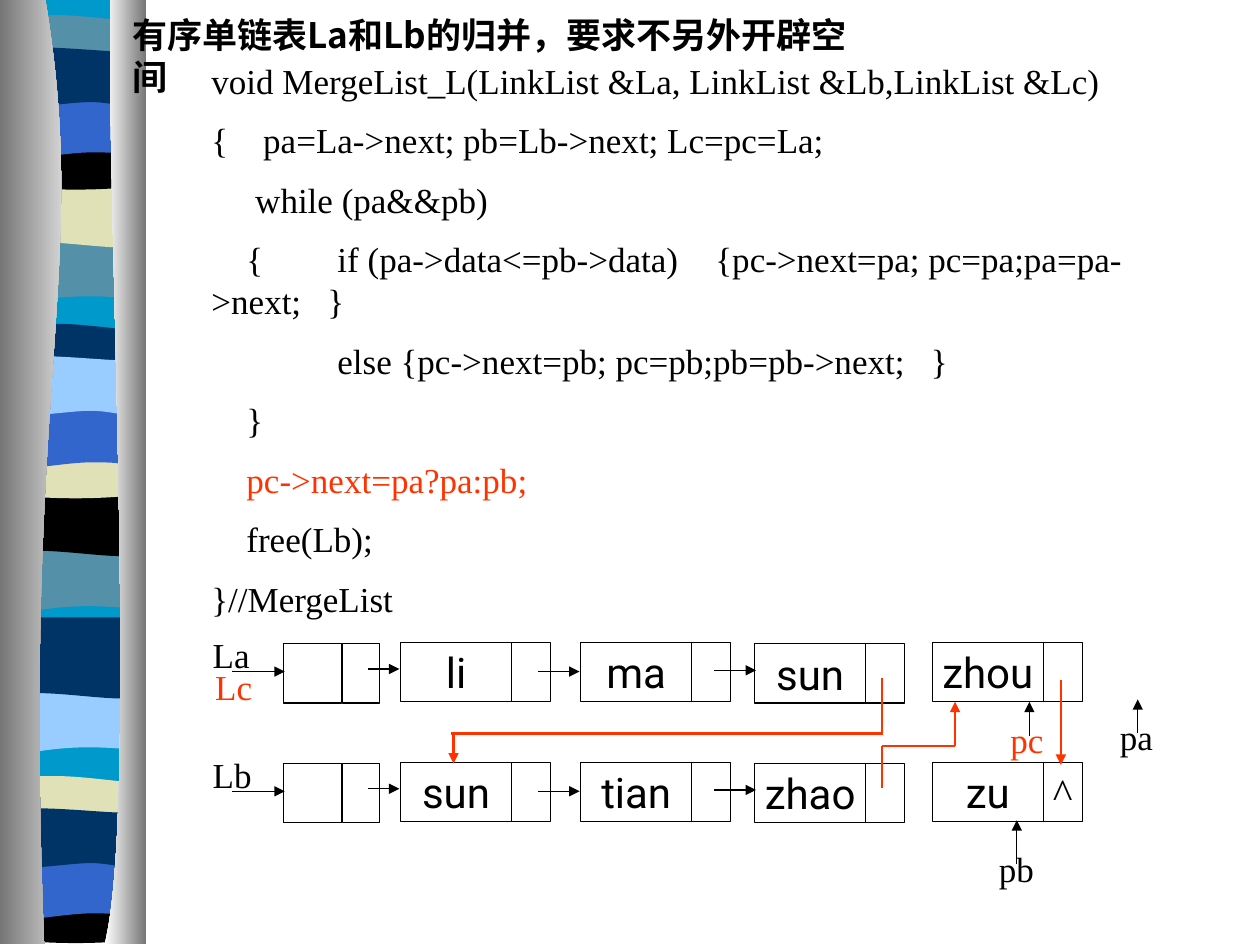
import pptx
import pptx.dml.color
import pptx.enum.text
import pptx.oxml
import pptx.oxml.ns
import pptx.util
from pptx.util import Inches

RGB = pptx.dml.color.RGBColor.from_string
ALIGN = pptx.enum.text.PP_ALIGN
ANCHOR = pptx.enum.text.MSO_ANCHOR
NS = pptx.oxml.ns.nsdecls("a")
THEME = {
    "black": RGB("000000"), "red": RGB("FF3300"), "cyan": RGB("0099CC"),
    "teal": RGB("5490A8"), "sand": RGB("E1E1B7"), "blue": RGB("3366CC"),
    "navy": RGB("003366"), "sky": RGB("99CCFF"),
    "white": RGB("FFFFFF"), "grey": RGB("767676"),
    "code": {"name": "Times New Roman", "size": pptx.util.Pt(20)},
    "title": {"name": "Noto Sans CJK SC", "size": pptx.util.Pt(20), "bold": True},
    "node": {"name": "Roboto", "size": pptx.util.Pt(24)},
    "end": {"name": "Times New Roman", "size": pptx.util.Pt(24)},
    "thin": pptx.util.Pt(0.75), "thick": pptx.util.Pt(1.5),
}

deck = pptx.Presentation()
deck.slide_width, deck.slide_height = Inches(10), Inches(7.5)
slide = deck.slides.add_slide(deck.slide_layouts[6])
shapes = slide.shapes


def write_text(paragraph, text, style, color="black"):
    run = paragraph.add_run()
    run.text = text
    for attribute, value in THEME[style].items():
        setattr(run.font, attribute, value)
    run.font.color.rgb = THEME[color]
    run.font._element.append(pptx.oxml.parse_xml(
        f'<a:ea {NS} typeface="{THEME[style]["name"]}"/>'))


def draw_outline(segments, shift=0):
    """Draw a closed outline; six numbers make a Bezier curve, two a straight line."""
    points = [(Inches(segment[i]), Inches(segment[i + 1] + shift))
              for segment in segments for i in range(0, len(segment), 2)]
    builder = shapes.build_freeform(*points[0])
    builder.add_line_segments(points[1:], close=True)
    outline = builder.convert_to_shape()
    steps = iter(outline._element.findall(".//" + pptx.oxml.ns.qn("a:lnTo")))
    for segment in segments[1:]:
        step = next(steps)
        if len(segment) == 6:
            curve = pptx.oxml.parse_xml(f"<a:cubicBezTo {NS}/>")
            step.addprevious(curve)
            for control in (step, next(steps), next(steps)):
                curve.append(control[0])
                control.getparent().remove(control)
    outline.shadow.inherit = False
    outline.line.fill.background()
    return outline


# Wavy ribbon: each wave form recurs three times down the left edge
base = draw_outline([(1.14, 0), (1.14, 7.47), (0.06, 7.47), (0.06, 0)])
base.fill.solid()
base.fill.fore_color.rgb = THEME["cyan"]

left, right = 0.05, 1.14
wave_forms = [
    [(right, 0), (right, 0.53), (0.39, 0.44, 0.23, 0.6, left, 0.53), (left, 0)],
    [(right, -0.09), (right, 0.53), (0.96, 0.61, 0.39, 0.46, left, 0.53), (left, -0.09)],
    [(right, -0.03), (right, 0.24), (0.96, 0.29, 0.23, 0.29, left, 0.24), (left, -0.05),
     (0.12, -0.1, 0.29, -0.09, 0.47, -0.09), (0.65, -0.09, 1, -0.04, right, -0.03)],
    [(right, 0), (right, 0.38), (0.96, 0.44, 0.24, 0.44, left, 0.38), (left, 0),
     (0.72, 0.05, 0.91, 0, right, 0)],
    [(right, 0), (right, 0.53), (0.97, 0.47, 0.9, 0.47, 0.72, 0.47),
     (0.54, 0.47, 0.22, 0.53, left, 0.53), (left, 0)],
    [(right, -0.04), (right, 0.37), (1.07, 0.42, 0.9, 0.35, 0.72, 0.35),
     (0.54, 0.35, 0.16, 0.42, left, 0.37), (left, -0.06),
     (0.21, -0.12, 0.79, -0.05, 0.97, -0.05), (right, -0.04)],
]
wave_sections = [
    [(1.85, "teal"), (1.41, "sand"), (0.21, "teal"), (1.08, "black"), (0.74, "blue"), (0.46, "navy")],
    [(4.31, "teal"), (3.86, "black"), (2.66, "navy"), (3.53, "sand"), (3.2, "blue"), (2.91, "sky")],
    [(5.43, "sky"), (4.99, "navy"), (6.25, "sand"), (7.06, "black"), (6.78, "blue"), (6.5, "navy")],
]
for section in wave_sections:
    for form, (top, color) in zip(wave_forms, section):
        wave = draw_outline(form, top)
        wave.fill.solid()
        wave.fill.fore_color.rgb = THEME[color]

# Metallic edges on both sides of the ribbon
edges = [
    ([(0.36, 0), (0.72, 2.16, 0.17, 2.96, 0.35, 7.49), (0, 7.49), (0, 0)], "grey", "white"),
    ([(0.88, 0), (0.83, 1.25, 1.11, 6.46, 0.83, 7.49), (1.16, 7.49), (1.16, 0)], "white", "grey"),
]
for segments, *colors in edges:
    edge = draw_outline(segments)
    edge.fill.gradient()
    edge.fill.gradient_angle = 0
    for stop, color in zip(edge.fill.gradient_stops, colors):
        stop.color.rgb = THEME[color]

# Code, title and pointer labels
code = [
    "void MergeList_L(LinkList &La, LinkList &Lb,LinkList &Lc)",
    "{    pa=La->next; pb=Lb->next; Lc=pc=La;",
    "     while (pa&&pb)",
    "    {\tif (pa->data<=pb->data)\t{pc->next=pa; pc=pa;pa=pa->next;   }",
    "\telse {pc->next=pb; pc=pb;pb=pb->next;   }",
    "    }",
    "    pc->next=pa?pa:pb;",
    "    free(Lb);",
    "}//MergeList",
]
texts = [
    (1.58, 0.42, 8.42, 4.43, code, "code", "black"),
    (0.95, 0.06, 6.14, 0.44, ["有序单链表La和Lb的归并，要求不另外开辟空间"], "title", "black"),
    (1.59, 4.98, 1, 0.43, ["La"], "code", "black"),
    (1.61, 5.23, 1, 0.43, ["Lc"], "code", "red"),
    (1.59, 5.93, 1, 0.43, ["Lb"], "code", "black"),
    (8.79, 5.63, 0.58, 0.43, ["pa"], "code", "black"),
    (7.83, 6.68, 0.58, 0.43, ["pb"], "code", "black"),
    (7.92, 5.65, 0.58, 0.43, ["pc"], "code", "red"),
]
for x, y, width, height, lines, style, color in texts:
    frame = shapes.add_textbox(Inches(x), Inches(y), Inches(width), Inches(height)).text_frame
    frame.word_wrap = True
    for number, line in enumerate(lines):
        paragraph = frame.add_paragraph() if number else frame.paragraphs[0]
        if len(lines) > 1:
            paragraph.line_spacing = pptx.util.Pt(24)
        if number:
            paragraph.space_before = pptx.util.Pt(10)
        if "\t" in line:
            stops = "".join(f'<a:tab pos="{Inches(stop)}" algn="l"/>' for stop in (1, 4))
            paragraph._element.get_or_add_pPr().append(
                pptx.oxml.parse_xml(f"<a:tabLst {NS}>{stops}</a:tabLst>"))
        write_text(paragraph, line, style, "red" if "?" in line else color)

# List nodes: a data cell and a link cell each, after an empty head node
node_columns = [(3.18, 5.1), (4.61, 5.1), (5.99, 5.11), (7.4, 5.1)]
row_gap = 0.95
cells = []
for row, names in enumerate([["li", "ma", "sun", "zhou"], ["sun", "tian", "zhao", "zu"]]):
    drop = row * row_gap
    cells += [(2.25, 5.11 + drop, 0.46, ""), (2.72, 5.11 + drop, 0.29, "")]
    for (x, y), name in zip(node_columns, names):
        cells += [(x, y + drop, 0.88, name),
                  (x + 0.88, y + drop, 0.31, "^" if name == "zu" else "")]
for x, y, width, label in cells:
    cell = shapes.add_shape(1, Inches(x), Inches(y), Inches(width), Inches(0.47))
    cell.shadow.inherit = False
    cell.fill.background()
    cell.line.color.rgb = THEME["black"]
    cell.line.width = THEME["thin"]
    if label:
        cell.text_frame.word_wrap = False
        cell.text_frame.vertical_anchor = ANCHOR.MIDDLE
        cell.text_frame.paragraphs[0].alignment = ALIGN.CENTER
        write_text(cell.text_frame.paragraphs[0], label, "end" if label == "^" else "node")

# Links within each list, pointer arrows, and the red merged links
links = []
for drop in (0, row_gap):
    for start, end, y in [(1.84, 2.26, 5.33), (2.92, 3.17, 5.31), (4.27, 4.6, 5.33), (5.67, 6, 5.32)]:
        links.append((start, y + drop, end, y + drop, "black", "thin", True))
links += [
    (9.03, 5.82, 9.03, 5.55, "black", "thin", True),
    (8.07, 6.86, 8.07, 6.51, "black", "thin", True),
    (8.17, 5.84, 8.17, 5.57, "black", "thin", True),
    (7, 5.38, 7, 5.83, "red", "thick", False),
    (7, 5.82, 3.58, 5.82, "red", "thick", False),
    (3.6, 5.82, 3.6, 6.06, "red", "thick", True),
    (8.42, 5.4, 8.42, 6.07, "red", "thin", True),
    (7, 6.25, 7, 5.92, "red", "thin", False),
    (7, 5.92, 7.58, 5.92, "red", "thin", False),
    (7.58, 5.92, 7.58, 5.57, "red", "thin", True),
]
for x1, y1, x2, y2, color, weight, has_head in links:
    link = shapes.add_connector(1, Inches(x1), Inches(y1), Inches(x2), Inches(y2))
    link.line.color.rgb = THEME[color]
    link.line.width = THEME[weight]
    if has_head:
        link.line._get_or_add_ln().append(pptx.oxml.parse_xml(f'<a:tailEnd {NS} type="triangle"/>'))
    link._element.spPr.append(pptx.oxml.parse_xml(f"<a:effectLst {NS}/>"))

deck.save("out.pptx")
